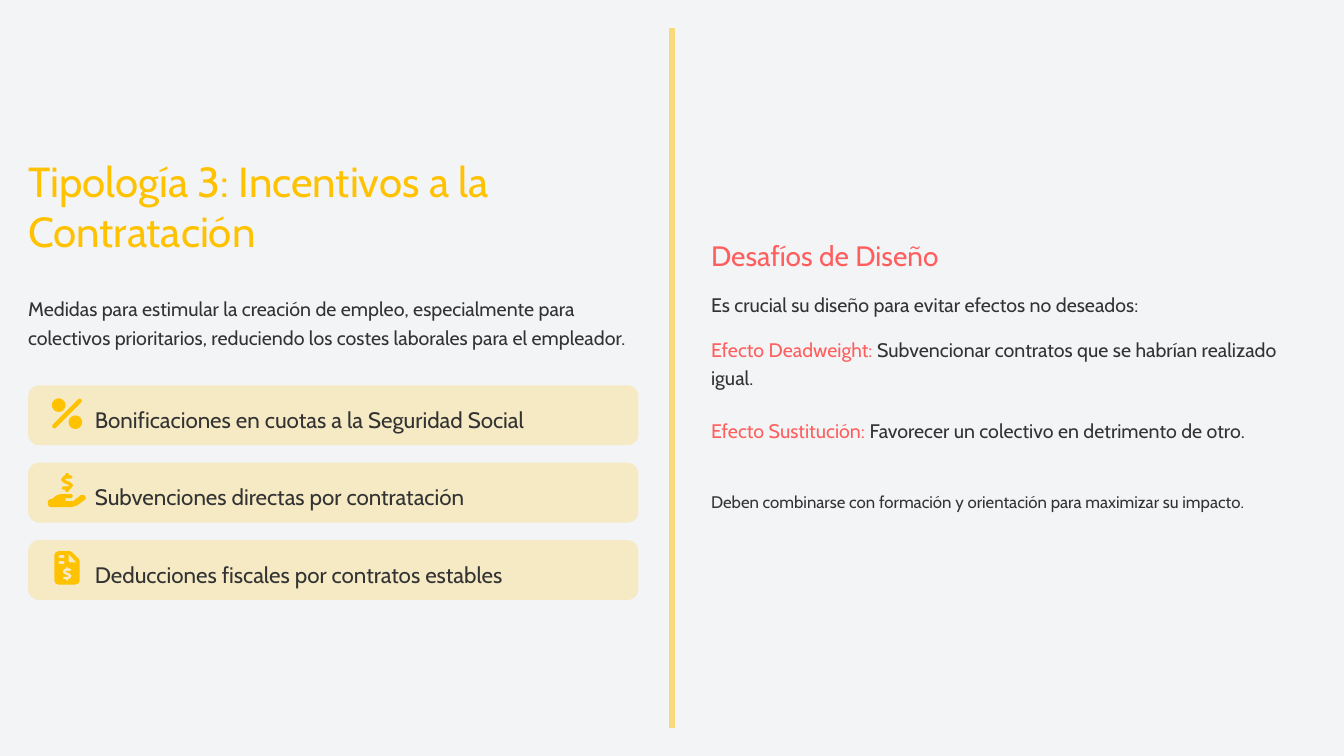
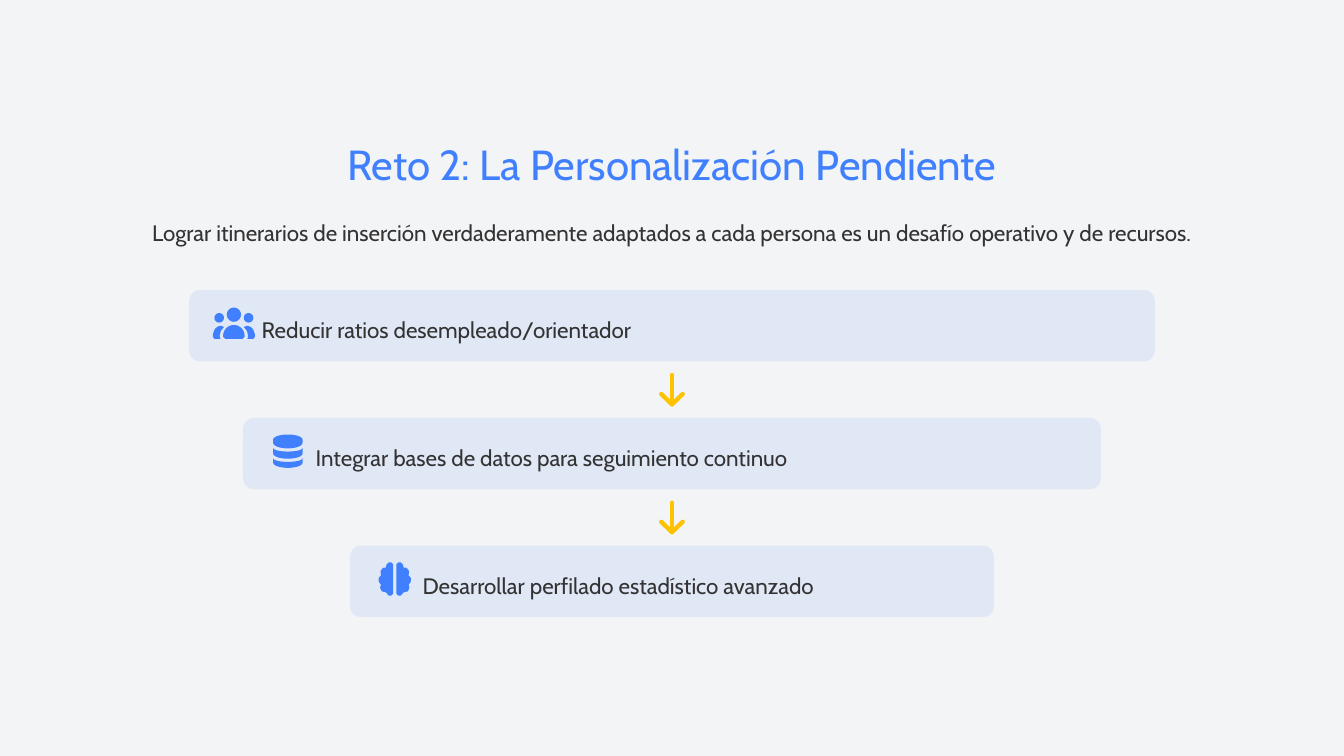
from dataclasses import dataclass
from math import cos, pi, sin

from pptx import Presentation
from pptx.dml.color import RGBColor
from pptx.enum.shapes import MSO_CONNECTOR as Connector, MSO_SHAPE as Preset
from pptx.enum.text import MSO_ANCHOR as Anchor, MSO_AUTO_SIZE as AutoSize, PP_ALIGN as Align
from pptx.oxml.ns import qn
from pptx.oxml.xmlchemy import OxmlElement
from pptx.util import Cm, Pt

COLORS = {
    "paper": "F3F4F6",
    "ink": "333333",
    "gold": "FFC200",
    "pale_gold": "F5EAC5",
    "coral": "FF5E5E",
    "blue": "4080FF",
}
FONT = "Cabin"
WIDTH, HEIGHT = 33.87, 19.05
MIDDLE = WIDTH / 2
MARGIN = 0.71
CORNER = 0.28

Point = tuple[float, float]
Line = tuple[Point, ...]


# Icon parts are in cm: x from the centre line, y from the top edge.
@dataclass(frozen=True)
class Outline:
    lines: tuple[Line, ...]
    color: str


@dataclass(frozen=True)
class Stroke:
    lines: tuple[Line, ...]
    width: float
    color: str


Icon = tuple[Outline | Stroke, ...]


@dataclass(frozen=True)
class CardStyle:
    color: str
    opacity: int
    height: float
    text_inset: float
    icon_x: float
    icon_y: float


@dataclass(frozen=True)
class Card:
    text: str
    icon: Icon
    width: float


@dataclass(frozen=True)
class Note:
    top: float
    height: float
    runs: tuple[tuple[str, str], ...]
    size: int = 14
    spacing: float = 1.2


def mirror(points: Line) -> Line:
    return tuple((-x, y) for x, y in points)


def arc(y: float, rx: float, ry: float, start: float, end: float,
        x: float = 0, steps: int = 20) -> Line:
    """Points along an ellipse; angles in half turns, clockwise from the right."""
    angles = [pi * (start + (end - start) * i / steps) for i in range(steps + 1)]
    return tuple((x + rx * cos(a), y + ry * sin(a)) for a in angles)


def disc(x: float, y: float, radius: float) -> Line:
    return arc(y, radius, radius, 0, 2, x=x)


def dollar(y: float, scale: float, color: str) -> Stroke:
    curve = ((0.1, -0.14), (-0.05, -0.14), (-0.11, -0.07), (-0.05, -0.02),
             (0.05, 0.02), (0.11, 0.07), (0.05, 0.14), (-0.1, 0.14))
    ticks = ((0, -0.2), (0, -0.14)), ((0, 0.14), (0, 0.2))
    lines = tuple(tuple((px * scale, y + py * scale) for px, py in line)
                  for line in (curve, *ticks))
    return Stroke(lines, 0.08 * scale, color)


def database_layer(upper: Line, side: float, depth: float) -> Line:
    return upper + arc(side, 0.37, depth, 0, 1)


SIDE_PERSON = ((-0.53, 0.76), (-0.53, 0.69), (-0.48, 0.56), (-0.41, 0.5), (-0.33, 0.48),
               (-0.25, 0.51), (-0.33, 0.61), (-0.36, 0.74), (-0.34, 0.81), (-0.49, 0.81))
FRONT_PERSON = ((-0.27, 0.76), *arc(0.73, 0.27, 0.27, 1, 2),
                (0.27, 0.76), (0.22, 0.81), (-0.22, 0.81))
BRAIN_HALF = ((-0.22, 0.13), (-0.21, 0.06), (-0.15, 0), (-0.09, 0), (-0.04, 0.05),
              (-0.04, 0.79), (-0.09, 0.84), (-0.15, 0.84), (-0.22, 0.76), (-0.33, 0.73),
              (-0.37, 0.64), (-0.35, 0.56), (-0.4, 0.5), (-0.41, 0.4), (-0.35, 0.33),
              (-0.36, 0.22), (-0.3, 0.14))
PALM = ((-0.48, 0.68), (-0.44, 0.64), (-0.38, 0.64), (-0.28, 0.55), (-0.17, 0.51),
        (0.11, 0.51), (0.15, 0.56), (0.11, 0.61), (-0.03, 0.61), (-0.05, 0.65),
        (-0.03, 0.69), (0.15, 0.69), (0.36, 0.53), (0.44, 0.54), (0.48, 0.61),
        (0.43, 0.67), (0.23, 0.81), (0.1, 0.84), (-0.43, 0.84), (-0.48, 0.79))
SHEET = ((-0.32, 0.1), (-0.29, 0.03), (-0.22, 0), (0.08, 0), (0.14, 0.04), (0.3, 0.2),
         (0.32, 0.27), (0.32, 0.74), (0.29, 0.81), (0.22, 0.84), (-0.22, 0.84),
         (-0.29, 0.81), (-0.32, 0.74))
FOLD = ((0.04, 0.08), (0.04, 0.25), (0.07, 0.28), (0.23, 0.28))

PERCENT: Icon = (
    Outline((disc(-0.21, 0.22, 0.17), disc(0.21, 0.65, 0.17)), "gold"),
    Stroke((((-0.32, 0.75), (0.32, 0.11)),), 0.11, "gold"),
)
HAND: Icon = (dollar(0.22, 1, "gold"), Outline((PALM,), "gold"))
INVOICE: Icon = (
    Outline((SHEET,), "gold"),
    Outline((FOLD,), "pale_gold"),
    Stroke(tuple(((-0.18, y), (-0.1, y)) for y in (0.13, 0.29)), 0.08, "pale_gold"),
    dollar(0.57, 0.75, "pale_gold"),
)
PEOPLE: Icon = (
    Outline((disc(0, 0.2, 0.18), disc(-0.37, 0.28, 0.12), disc(0.37, 0.28, 0.12),
             FRONT_PERSON, SIDE_PERSON, mirror(SIDE_PERSON)), "blue"),
)
DATABASE: Icon = (
    Outline((database_layer(arc(0.13, 0.37, 0.13, 1, 2), 0.21, 0.14),
             database_layer(arc(0.34, 0.37, 0.09, 1, 0), 0.48, 0.13),
             database_layer(arc(0.6, 0.37, 0.09, 1, 0), 0.71, 0.13)), "blue"),
)
BRAIN: Icon = (Outline((BRAIN_HALF, mirror(BRAIN_HALF)), "blue"),)
DOWN_ARROW: Icon = (
    Stroke((((0, 0.05), (0, 0.79)), ((-0.27, 0.53), (0, 0.79), (0.27, 0.53))), 0.11, "gold"),
)

INCENTIVE_STYLE = CardStyle("gold", 20, 1.51, 1.6, 0.98, 0.28)
STEP_STYLE = CardStyle("blue", 10, 1.8, 1.75, 1.13, 0.42)
COLUMN = 15.38
INCENTIVES = (
    Card("Bonificaciones en cuotas a la Seguridad Social", PERCENT, COLUMN),
    Card("Subvenciones directas por contratación", HAND, COLUMN),
    Card("Deducciones fiscales por contratos estables", INVOICE, COLUMN),
)
STEPS = (
    Card("Reducir ratios desempleado/orientador", PEOPLE, 24.34),
    Card("Integrar bases de datos para seguimiento continuo", DATABASE, 21.62),
    Card("Desarrollar perfilado estadístico avanzado", BRAIN, 16.23),
)
CHALLENGES = (
    Note(5.86, 0.99, (("Desafíos de Diseño", "coral"),), size=20),
    Note(7.26, 0.71, (("Es crucial su diseño para evitar efectos no deseados:", "ink"),)),
    Note(8.4, 1.42, (("Efecto Deadweight:", "coral"),
                     (" Subvencionar contratos que se habrían realizado igual.", "ink"))),
    Note(10.08, 1.42, (("Efecto Sustitución:", "coral"),
                       (" Favorecer un colectivo en detrimento de otro.", "ink"))),
    Note(12.07, 1.12, (("Deben combinarse con formación y orientación para maximizar su impacto.",
                        "ink"),), size=12, spacing=1.1),
)


def rgb(name: str) -> RGBColor:
    return RGBColor.from_string(COLORS[name])


def fade(shape, opacity: int) -> None:
    alpha = OxmlElement("a:alpha")
    alpha.set("val", str(opacity * 1000))
    shape.element.spPr.find(".//" + qn("a:srgbClr")).append(alpha)


def paint(shape, color: str) -> None:
    """Plain fill without line or shadow."""
    shape.shadow.inherit = False
    shape.fill.solid()
    shape.fill.fore_color.rgb = rgb(color)
    shape.line.fill.background()


def write(shape, *runs: tuple[str, str], size: int, spacing: float = 1.0,
          align=Align.LEFT, inset: float = 0) -> None:
    frame = shape.text_frame
    frame.word_wrap = True
    frame.auto_size = AutoSize.NONE
    frame.vertical_anchor = Anchor.MIDDLE
    frame.margin_left = Cm(inset)
    frame.margin_top = frame.margin_right = frame.margin_bottom = 0
    paragraph = frame.paragraphs[0]
    paragraph.alignment = align
    paragraph.line_spacing = spacing
    for text, color in runs:
        run = paragraph.add_run()
        run.text = text
        run.font.name = FONT
        run.font.size = Pt(size)
        run.font.color.rgb = rgb(color)


def add_text(slide, left: float, top: float, width: float, height: float,
             *runs: tuple[str, str], **text_format) -> None:
    box = slide.shapes.add_textbox(Cm(left), Cm(top), Cm(width), Cm(height))
    write(box, *runs, **text_format)


def add_title_slide(deck, text: str, color: str, left: float, top: float, width: float,
                    height: float, align=Align.LEFT):
    slide = deck.slides.add_slide(deck.slide_layouts[5])
    title = slide.shapes.title
    title.left, title.top, title.width, title.height = map(Cm, (left, top, width, height))
    write(title, (text, color), size=30, align=align)
    return slide


def trace(shapes, lines: tuple[Line, ...], x: float, y: float, close: bool):
    contours = [[(Cm(x + px), Cm(y + py)) for px, py in line] for line in lines]
    builder = shapes.build_freeform(*contours[0][0], scale=1.0)
    for index, (start, *others) in enumerate(contours):
        if index:
            builder.move_to(*start)
        builder.add_line_segments(others, close=close)
    return builder.convert_to_shape()


def add_stroke(shapes, stroke: Stroke, x: float, y: float) -> None:
    shape = trace(shapes, stroke.lines, x, y, close=False)
    shape.shadow.inherit = False
    shape.fill.background()
    shape.line.color.rgb = rgb(stroke.color)
    shape.line.width = Cm(stroke.width)
    ln = shape.element.spPr.find(qn("a:ln"))
    ln.set("cap", "rnd")
    ln.append(OxmlElement("a:round"))


def add_icon(slide, icon: Icon, x: float, y: float) -> None:
    shapes = slide.shapes
    if len(icon) > 1:
        shapes = shapes.add_group_shape().shapes
    for part in icon:
        if isinstance(part, Stroke):
            add_stroke(shapes, part, x, y)
        else:
            paint(trace(shapes, part.lines, x, y, close=True), part.color)


def add_card(slide, card: Card, style: CardStyle, left: float, top: float) -> None:
    panel = slide.shapes.add_shape(Preset.ROUNDED_RECTANGLE, Cm(left), Cm(top),
                                   Cm(card.width), Cm(style.height))
    panel.adjustments[0] = CORNER / style.height
    paint(panel, style.color)
    fade(panel, style.opacity)
    write(panel, (card.text, "ink"), size=16, spacing=1.3, inset=style.text_inset)
    add_icon(slide, card.icon, left + style.icon_x, top + style.icon_y)


def add_divider(slide) -> None:
    divider = slide.shapes.add_connector(Connector.STRAIGHT, Cm(MIDDLE), Cm(MARGIN),
                                         Cm(MIDDLE), Cm(HEIGHT - MARGIN))
    divider.line.color.rgb = rgb("gold")
    divider.line.width = Pt(4)
    fade(divider, 50)
    divider.element.spPr.append(OxmlElement("a:effectLst"))


def build_incentives(deck) -> None:
    slide = add_title_slide(deck, "Tipología 3: Incentivos a la Contratación", "gold",
                            MARGIN, 3.92, COLUMN, 2.54)
    summary = ("Medidas para estimular la creación de empleo, especialmente para colectivos "
               "prioritarios, reduciendo los costes laborales para el empleador.")
    add_text(slide, MARGIN, 7.03, COLUMN, 2.11, (summary, "ink"), size=14, spacing=1.2)
    for row, card in enumerate(INCENTIVES):
        add_card(slide, card, INCENTIVE_STYLE, MARGIN, 9.71 + row * 1.95)
    add_divider(slide)
    for note in CHALLENGES:
        add_text(slide, 17.92, note.top, 15.24, note.height, *note.runs,
                 size=note.size, spacing=note.spacing)


def build_personalization(deck) -> None:
    slide = add_title_slide(deck, "Reto 2: La Personalización Pendiente", "blue",
                            0, 3.5, WIDTH, 1.27, align=Align.CENTER)
    summary = ("Lograr itinerarios de inserción verdaderamente adaptados a cada persona "
               "es un desafío operativo y de recursos.")
    add_text(slide, 0, 5.33, WIDTH, 0.84, (summary, "ink"),
             size=16, spacing=1.3, align=Align.CENTER)
    for row, card in enumerate(STEPS):
        top = 7.31 + row * 3.22
        if row:
            add_icon(slide, DOWN_ARROW, MIDDLE, top - 1.13)
        add_card(slide, card, STEP_STYLE, MIDDLE - card.width / 2, top)


def main() -> None:
    deck = Presentation()
    deck.slide_width, deck.slide_height = Cm(WIDTH), Cm(HEIGHT)
    backdrop = deck.slide_master.background.fill
    backdrop.solid()
    backdrop.fore_color.rgb = rgb("paper")
    build_incentives(deck)
    build_personalization(deck)
    deck.save("out.pptx")


if __name__ == "__main__":
    main()
